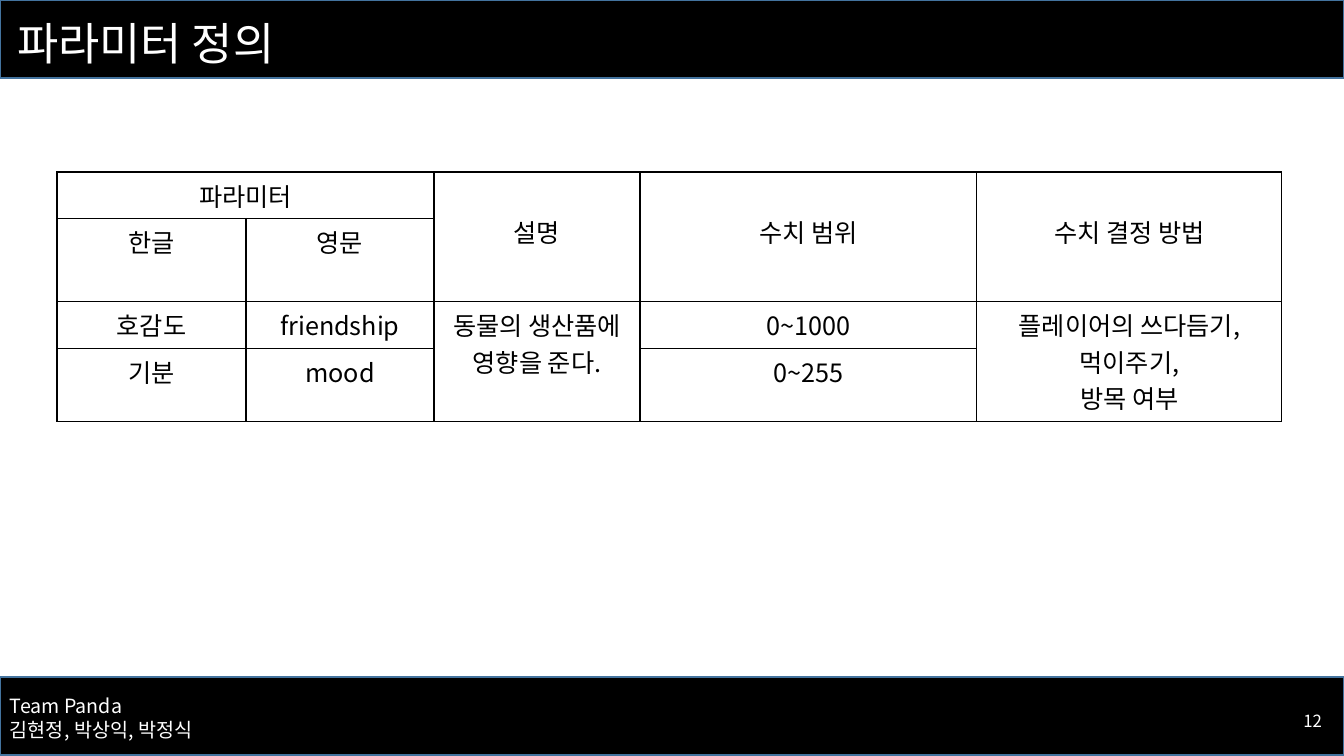
from lxml.etree import SubElement as Sub
from pptx import Presentation
from pptx.dml.color import RGBColor as RGB
from pptx.enum.shapes import MSO_SHAPE as Shape
from pptx.enum.text import MSO_ANCHOR as Anchor, MSO_AUTO_SIZE as Auto, PP_ALIGN as Align
from pptx.oxml import parse_xml
from pptx.oxml.ns import nsdecls, qn
from pptx.util import Pt

FONT = "Noto Sans CJK KR"
BLACK, WHITE, BLUE = "000000", "FFFFFF", "43739E"
TITLE = "파라미터 정의"
TEAM = "Team Panda\n김현정, 박상익, 박정식"
PAGE = "12"
BARS = [0, 677]
COLS = [189, 188, 206, 337, 305]
ROWS = [46, 83, 47, 73]
CELLS = [
    ["파라미터", "", "설명", "수치 범위", "수치 결정 방법"],
    ["한글", "영문", "", "", ""],
    ["호감도", "friendship", "동물의 생산품에 영향을 준다.", "0~1000",
     "플레이어의 쓰다듬기,\n먹이주기,\n방목 여부"],
    ["기분", "mood", "", "0~255", ""],
]
SPANS = [(0, 0, 0, 1), (0, 2, 1, 2), (0, 3, 1, 3), (0, 4, 1, 4),
         (2, 2, 3, 2), (2, 4, 3, 4)]
SCALE = 914400 / 100.8


def px(n):
    return round(n * SCALE)


def color(code):
    return RGB.from_string(code)


def write(frame, text, size, ink, align=Align.LEFT, space=None):
    frame.text = text
    for para in frame.paragraphs:
        para.alignment = align
        if space:
            para.line_spacing = space
        for run in para.runs:
            font = run.font
            font.size = Pt(size)
            font.color.rgb = color(ink)
            font.name = FONT
            Sub(font._element, qn("a:ea"), typeface=FONT)


def add_bar(shapes, top):
    bar = shapes.add_shape(Shape.RECTANGLE, 0, px(top), px(1344), px(78))
    bar.shadow.inherit = False
    bar.fill.solid()
    bar.fill.fore_color.rgb = color(BLACK)
    bar.line.color.rgb = color(BLUE)
    bar.line.width = Pt(1)


def add_text(shapes, box, text, size, align, anchor):
    frame = shapes.add_textbox(*map(px, box)).text_frame
    frame.word_wrap = True
    frame.vertical_anchor = anchor
    write(frame, text, size, WHITE, align)


def set_title(title):
    tree = title.element.getparent()
    tree.append(title.element)
    title.left, title.top, title.width, title.height = map(px, (7, 3, 1159, 86))
    frame = title.text_frame
    frame.auto_size = Auto.NONE
    frame.vertical_anchor = Anchor.MIDDLE
    write(frame, TITLE, 32, WHITE, space=0.9)


def style(cell):
    cell.fill.solid()
    cell.fill.fore_color.rgb = color(WHITE)
    props = cell._tc.get_or_add_tcPr()
    for i, side in enumerate("LRTB"):
        props.insert(i, parse_xml(
            f'<a:ln{side} {nsdecls("a")} w="{Pt(1)}"><a:solidFill>'
            f'<a:srgbClr val="{BLACK}"/></a:solidFill></a:ln{side}>'))


def add_grid(shapes):
    box = map(px, (57, 172, sum(COLS), sum(ROWS)))
    grid = shapes.add_table(len(ROWS), len(COLS), *box).table
    for col, width in zip(grid.columns, COLS):
        col.width = px(width)
    for row, height in zip(grid.rows, ROWS):
        row.height = px(height)
    for r, line in enumerate(CELLS):
        for c, text in enumerate(line):
            cell = grid.cell(r, c)
            style(cell)
            if text:
                space = 2.0 if r == 0 and c > 1 else None
                write(cell.text_frame, text, 18, BLACK, Align.CENTER, space)
    for top, left, bottom, right in SPANS:
        grid.cell(top, left).merge(grid.cell(bottom, right))


def main():
    deck = Presentation()
    deck.slide_width, deck.slide_height = px(1344), px(756)
    shapes = deck.slides.add_slide(deck.slide_layouts[5]).shapes
    for top in BARS:
        add_bar(shapes, top)
    add_text(shapes, (0, 689, 302, 57), TEAM, 14, Align.LEFT, Anchor.TOP)
    add_text(shapes, (1030, 701, 302, 40), PAGE, 12, Align.RIGHT, Anchor.MIDDLE)
    set_title(shapes.title)
    add_grid(shapes)
    deck.save("out.pptx")


if __name__ == "__main__":
    main()
